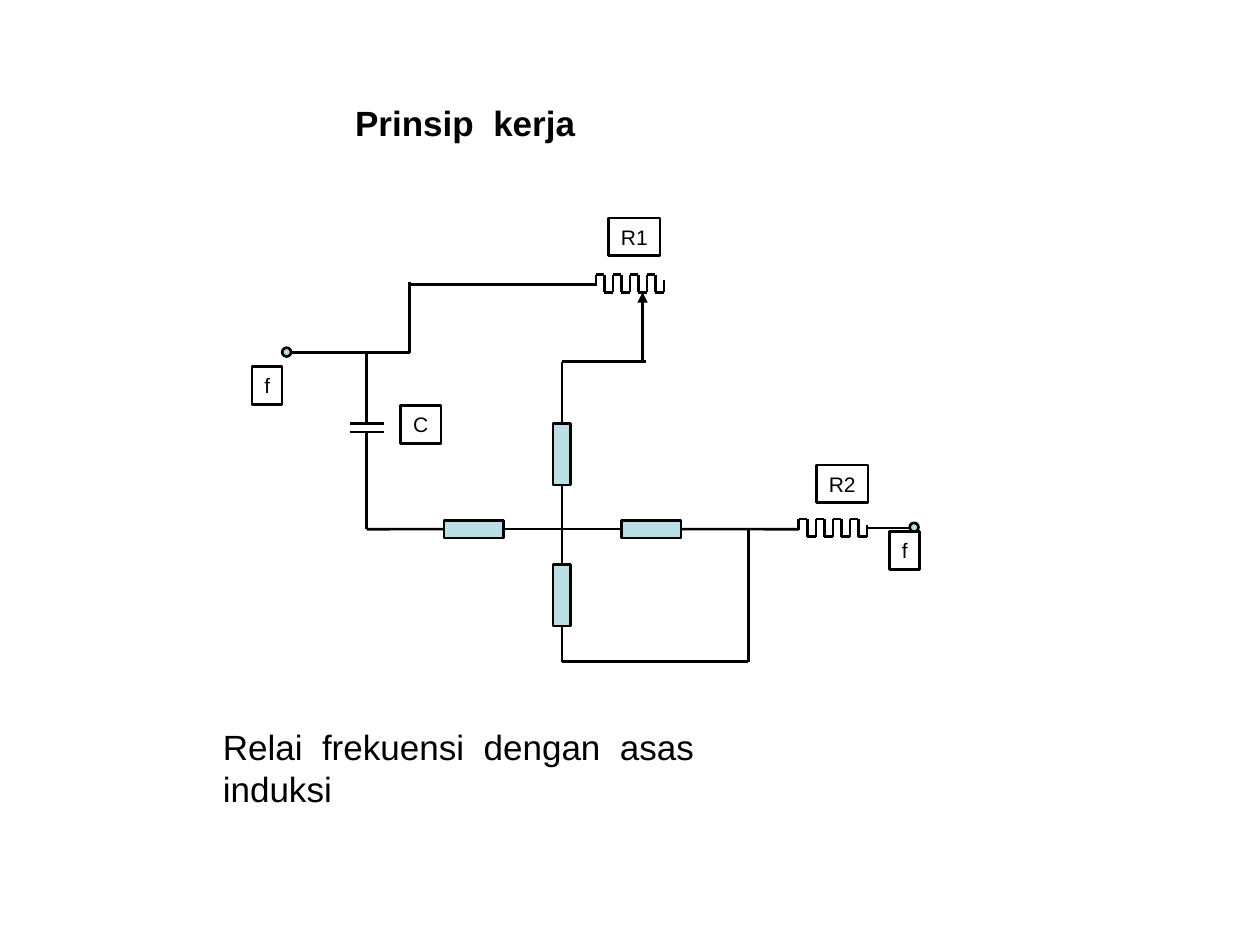
from dataclasses import dataclass
from itertools import pairwise

from lxml.etree import SubElement
from pptx import Presentation
from pptx.dml.color import RGBColor
from pptx.enum.shapes import MSO_CONNECTOR, MSO_SHAPE
from pptx.enum.text import MSO_AUTO_SIZE, PP_ALIGN
from pptx.oxml.ns import qn
from pptx.util import Inches, Pt


@dataclass(frozen=True)
class Theme:
    font: str = "Arial"
    ink: RGBColor = RGBColor(0x00, 0x00, 0x00)
    coil: RGBColor = RGBColor(0xBB, 0xE0, 0xE3)
    line: float = 1.5
    label: int = 12
    heading: int = 20


@dataclass(frozen=True)
class Box:
    left: float
    top: float
    width: float
    height: float
    columns: int = 1
    rows: int = 1

    def point(self, column, row):
        return (Inches(self.left + column * self.width / self.columns),
                Inches(self.top + row * self.height / self.rows))

    def area(self, column, row, columns, rows):
        left, top = self.point(column, row)
        right, bottom = self.point(column + columns, row + rows)
        return left, top, right - left, bottom - top


THEME = Theme()
TOP, LEFT, BOTTOM, RIGHT = range(4)


def add_text(slide, area, text, size, bold=False):
    shape = slide.shapes.add_textbox(*area)
    frame = shape.text_frame
    frame.text = text
    frame.word_wrap = False
    frame.auto_size = MSO_AUTO_SIZE.SHAPE_TO_FIT_TEXT
    paragraph = frame.paragraphs[0]
    paragraph.alignment = PP_ALIGN.LEFT
    font = paragraph.runs[0].font
    font.name, font.size, font.bold = THEME.font, Pt(size), bold
    font.color.rgb = THEME.ink
    return shape


def outline(line):
    line.color.rgb = THEME.ink
    line.width = Pt(THEME.line)


def add_part(slide, box, kind, center, size):
    (column, row), (columns, rows) = center, size
    area = box.area(column - columns / 2, row - rows / 2, columns, rows)
    shape = slide.shapes.add_shape(kind, *area)
    shape.shadow.inherit = False
    shape.fill.solid()
    shape.fill.fore_color.rgb = THEME.coil
    outline(shape.line)
    return shape


def add_wire(slide, box, start, end, begin=None, finish=None, arrow=False):
    wire = slide.shapes.add_connector(
        MSO_CONNECTOR.STRAIGHT, *box.point(*start), *box.point(*end))
    outline(wire.line)
    properties = wire._element.spPr
    if arrow:
        SubElement(properties.find(qn("a:ln")), qn("a:tailEnd"), type="triangle")
    SubElement(properties, qn("a:effectLst"))
    if begin:
        wire.begin_connect(*begin)
    if finish:
        wire.end_connect(*finish)


def add_path(slide, box, *points):
    for start, end in pairwise(points):
        add_wire(slide, box, start, end)


def add_resistor(slide, box, column, row, entry, leave):
    teeth, pitch, depth = 8, 0.675, 1.4
    points = [(column, row + entry)]
    for tooth in range(teeth):
        level = row + depth * (tooth % 2)
        points += [(column + (tooth + step) * pitch, level) for step in (0, 1)]
    points.append((column + teeth * pitch, row + leave))
    add_path(slide, box, *points)


def add_bridge(slide, box, hub, axis, load):
    thick, long = 1.4, 4.9
    upper, lower = [
        add_part(slide, box, MSO_SHAPE.RECTANGLE, (hub, row), (thick, long))
        for row in (axis - 5.95, axis + 5.25)]
    before, after = [
        add_part(slide, box, MSO_SHAPE.RECTANGLE, (column, axis), (4.7, thick))
        for column in (hub - 7, hub + 7.1)]
    center = (hub, axis)
    add_wire(slide, box, center, center, (before, RIGHT), (after, LEFT))
    add_wire(slide, box, center, center, (upper, BOTTOM), (lower, TOP))
    add_wire(slide, box, center, (load, axis), (after, RIGHT))
    add_wire(slide, box, (9.1, axis), center, finish=(before, LEFT))
    add_wire(slide, box, center, (hub, 11.7), (upper, TOP))
    add_wire(slide, box, center, (hub, 35.5), (lower, BOTTOM))
    add_path(slide, box, (hub, 35.5), (39.4, 35.5), (39.4, axis))


def add_capacitor(slide, box, column, feed, axis):
    plates = (16.6, 17.3)
    for plate, end in zip(plates, (feed, axis)):
        add_path(slide, box, (column - 1.3, plate), (column + 1.4, plate))
        add_path(slide, box, (column, plate), (column, end))


def add_circuit(slide, box):
    hub, axis, feed, load = 24.6, 25, 11, 43.4
    add_bridge(slide, box, hub, axis, load)
    add_capacitor(slide, box, 9.1, feed, axis)

    add_path(slide, box, (3.1, feed), (12.5, feed), (12.5, 5.4))
    add_path(slide, box, (12.5, 5.6), (27.3, 5.6))
    add_path(slide, box, (hub, 11.7), (31.3, 11.7))
    add_wire(slide, box, (31, 11.7), (31, 6.2), arrow=True)
    add_path(slide, box, (48.8, 24.9), (52.8, 24.9))

    add_resistor(slide, box, 27.3, 4.8, 0.9, 0.4)
    add_resistor(slide, box, load, 24.2, 0.9, 0.5)

    for center in ((2.75, 10.95), (52.55, 24.85)):
        add_part(slide, box, MSO_SHAPE.OVAL, center, (0.7, 0.7))

    labels = (("R1", 28.3, 0.3, 4.1), ("R2", 44.8, 19.9, 4.1),
              ("C", 11.8, 15.2, 3.2), ("f", 0, 12.1, 2.4), ("f", 50.6, 25.2, 2.4))
    for text, column, row, columns in labels:
        area = box.area(column, row, columns, 3)
        outline(add_text(slide, area, text, THEME.label).line)


def add_heading(slide, box, text, bold=False):
    add_text(slide, box.area(0, 0, 1, 1), text, THEME.heading, bold)


def main():
    presentation = Presentation()
    presentation.slide_width, presentation.slide_height = Inches(10), Inches(7.5)
    slide = presentation.slides.add_slide(presentation.slide_layouts[6])
    add_circuit(slide, Box(2, 1.7, 5.3, 3.6, columns=53, rows=36))
    add_heading(slide, Box(2.72, 0.76, 1.95, 0.44), "Prinsip  kerja", bold=True)
    add_heading(slide, Box(1.67, 5.71, 4.96, 0.44),
                "Relai  frekuensi  dengan  asas  induksi")
    presentation.save("out.pptx")


if __name__ == "__main__":
    main()
